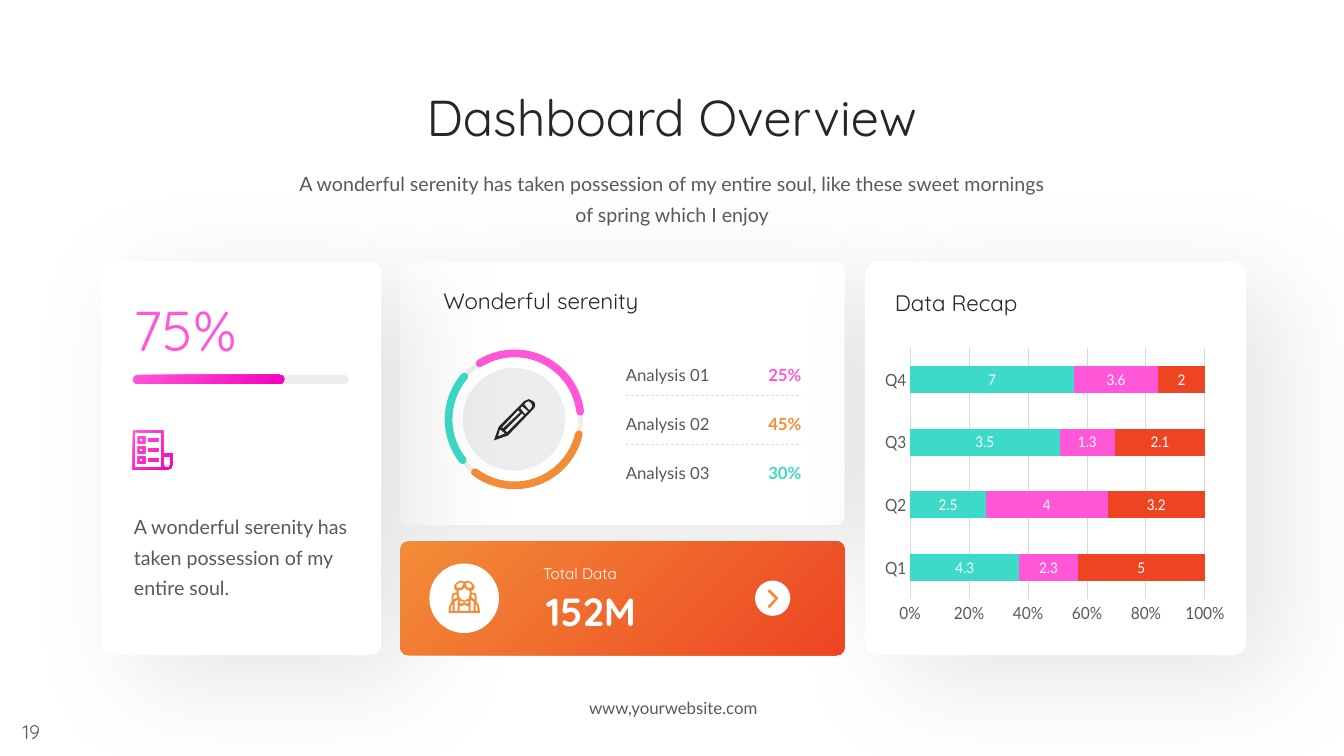
from lxml import etree
from pptx import Presentation
from pptx.chart.data import CategoryChartData
from pptx.dml.color import RGBColor
from pptx.enum.chart import XL_CHART_TYPE, XL_TICK_MARK
from pptx.enum.dml import MSO_LINE
from pptx.enum.shapes import MSO_CONNECTOR, MSO_SHAPE
from pptx.enum.text import MSO_AUTO_SIZE, PP_ALIGN
from pptx.oxml.ns import qn
from pptx.util import Pt

ROUND, OVAL, ARC = MSO_SHAPE.ROUNDED_RECTANGLE, MSO_SHAPE.OVAL, MSO_SHAPE.ARC
STRAIGHT, DASH = MSO_CONNECTOR.STRAIGHT, MSO_LINE.DASH
CENTER, RIGHT = PP_ALIGN.CENTER, PP_ALIGN.RIGHT
GROW, NO_TICK = MSO_AUTO_SIZE.SHAPE_TO_FIT_TEXT, XL_TICK_MARK.NONE
STACKED = XL_CHART_TYPE.BAR_STACKED_100

INK = {"white": "FFFFFF", "black": "000000", "dark": "262626", "body": "595959",
       "gray": "A6A6A6", "grid": "D9D9D9", "pink": "FF57D7", "rose": "F500BD",
       "orange": "F38C37", "red": "ED4523", "teal": "3EDAC8"}
HEAD, BODY = "Quicksand", "Lato"
AIRY = {"line_spacing": 1.3, "space_after": Pt(6)}
LOW = {"line_spacing": 1.3, "space_before": Pt(12)}
MID = {"alignment": CENTER}


def shade(name):
    return RGBColor.from_string(INK[name])


def apply(item, values):
    for key, value in values.items():
        setattr(item, key, value)


def fade(node, percent):
    for hue in node.iter(qn("a:srgbClr")):
        etree.SubElement(hue, qn("a:alpha"), val=str(percent * 1000))


def rect(x, y, w, h):
    return f"{x},{y} {x + w},{y} {x + w},{y + h} {x},{y + h}"


# Icon outlines, in units of 0.72 pt
PENCIL = ["41,6 40.5,3.8 39,2 34.5,0 30,2 5,27 0,41 14,36 39,10 40.5,8",
          "11,31 28,14 30,16 13,33", "8,28 24,11 26,13 9,29",
          "26,9 28,7 34,12 31,15", "6,30 11,34 4,37",
          "37,9 35,11 30,5 32,3 34.5,2 37,4 38,6.5"]
LIST = ["0,0 30,0 30,23 39,23 39,34 38,37.5 34,39 0,39",
        "2,2 2,37 29,37 28,34 28,2",
        "30,26 30,34 31.5,36.5 34,37 36.5,36.5 37,34 37,26"]
for top in (6, 16, 26):
    LIST += [rect(5, top, 7, 7), rect(7, top + 2, 3, 3), rect(15, top + 2, 10, 3)]
NEXT = ["0,1 1,0 2,0 10,8 10,9 2,18 1,18 0,17 0,16 7,9 0,2"]
PERSON = ["28,21 28,15 27,13 25,12 23,12 23,10 25,9 26,5.5 23,2 19.5,0 16,1 12,0 "
          "8,2 5.5,5 6,9 8,10 8,12 6,12 4,13 3,15 3,21 0.8,25 0,30 0,32 31,32 "
          "31,30 30.3,25",
          "17,3 18.5,2 20,2 22.8,4 23,7 18.5,6.9", "8,7 8,4 11,2 13,2 15,3 13,6.9",
          "4,30 2,30 2.5,26 4,23", "5,15 6,14 8,14 9,17 7,17.5 5,19",
          "9,30 6,30 6,21 9,19", "20,30 11,30 11,25 13.5,25.5 16,24 18.5,25.5 20,25",
          "11,21 11,20 13.5,21 15,21 15,22 13,23 11.5,22.5",
          "18,23 16,22 16,21 18,21 20,20 20,21 19.5,22.5",
          "21,14 19.8,18 16,20 11.5,18 10,14 10,10 13.5,9.2 16,7 18.3,9.4 21,10",
          "25,30 22,30 22,19 25,21", "26,19 24,17.5 23,17 23,14 25,14 26,15",
          "27,30 27,23 28.5,26 29,30"]


class Board:
    def __init__(self, deck):
        self.slide = deck.slides.add_slide(deck.slide_layouts[6])
        self.shapes = self.slide.shapes

    def font(self, font, size, color, face=BODY, bold=False):
        apply(font, {"size": Pt(size), "name": face, "bold": bold})
        font.color.rgb = shade(color)

    def text(self, box, words, size, color, face=BODY, bold=False, form=AIRY):
        frame = self.shapes.add_textbox(*map(Pt, box)).text_frame
        apply(frame, {"word_wrap": True, "auto_size": GROW})
        para = frame.paragraphs[0]
        apply(para, form)
        run = para.add_run()
        run.text = words
        self.font(run.font, size, color, face, bold)

    def paint(self, shape, color, alpha=None):
        shape.shadow.inherit = False
        shape.line.fill.background()
        if isinstance(color, tuple):
            shape.fill.gradient()
            shape.fill.gradient_angle = 315
            for stop, name in zip(shape.fill.gradient_stops, color):
                stop.color.rgb = shade(name)
        else:
            shape.fill.solid()
            shape.fill.fore_color.rgb = shade(color)
        if alpha:
            fade(shape.element.spPr, alpha)

    def shape(self, kind, box, color, alpha=None, curve=None):
        shape = self.shapes.add_shape(kind, *map(Pt, box))
        self.paint(shape, color, alpha)
        if curve:
            shape.adjustments[0] = curve
        return shape

    def card(self, box):
        node = self.shape(ROUND, box, "white", curve=0.034).element.spPr
        glow = etree.SubElement(node.find(qn("a:effectLst")), qn("a:outerShdw"),
                                blurRad=str(Pt(80)), dist=str(Pt(30)),
                                dir=str(35 * 60000), algn="ctr", rotWithShape="0")
        etree.SubElement(glow, qn("a:srgbClr"), val=INK["black"])
        fade(glow, 10)

    def ring(self, kind, box, color, width, alpha=None, span=()):
        shape = self.shapes.add_shape(kind, *map(Pt, box))
        shape.shadow.inherit = False
        shape.fill.background()
        shape.line.color.rgb = shade(color)
        shape.line.width = Pt(width)
        for spot, angle in enumerate(span):
            shape.adjustments[spot] = angle * 0.6
        if alpha:
            fade(shape.element.spPr, alpha)
        else:
            shape.element.spPr.find(qn("a:ln")).set("cap", "rnd")

    def rule(self, left, right, y):
        line = self.shapes.add_connector(STRAIGHT, Pt(left), Pt(y), Pt(right), Pt(y))
        line.line.color.rgb = shade("gray")
        apply(line.line, {"width": Pt(0.5), "dash_style": DASH})
        fade(line.element.spPr, 50)
        etree.SubElement(line.element.spPr, qn("a:effectLst"))

    def icon(self, left, top, paths, color):
        pen = None
        for path in paths:
            dots = [tuple(float(n) * 10 for n in dot.split(",")) for dot in path.split()]
            if pen is None:
                pen = self.shapes.build_freeform(*dots[0], scale=Pt(0.072))
            else:
                pen.move_to(*dots[0])
            pen.add_line_segments(dots[1:], close=True)
        self.paint(pen.convert_to_shape(Pt(left), Pt(top)), color)

    def chart(self, box, names, series, plot):
        data = CategoryChartData()
        data.categories = names
        for spot, (values, _) in enumerate(series, 1):
            data.add_series(f"Series {spot}", values)
        chart = self.shapes.add_chart(STACKED, *map(Pt, box), data).chart
        apply(chart, {"has_legend": False, "has_title": False})
        self.font(chart.font, 10, "black")
        bars = chart.plots[0]
        apply(bars, {"gap_width": 131, "overlap": 100, "vary_by_categories": False})
        for item, (_, color) in zip(bars.series, series):
            item.format.fill.solid()
            item.format.fill.fore_color.rgb = shade(color)
            item.data_labels.show_value = True
            self.font(item.data_labels.font, 10.5, "white")
        rows, scale = chart.category_axis, chart.value_axis
        for axis in (rows, scale):
            apply(axis, {"major_tick_mark": NO_TICK, "minor_tick_mark": NO_TICK})
            self.font(axis.tick_labels.font, 12, "body")
        apply(scale, {"has_major_gridlines": True, "major_unit": 0.2,
                      "minimum_scale": 0, "maximum_scale": 1})
        apply(scale.tick_labels, {"number_format": "0%", "number_format_is_linked": False})
        scale.format.line.fill.background()
        for line in (rows.format.line, scale.major_gridlines.format.line):
            line.color.rgb = shade("grid")
            line.width = Pt(0.75)
        # Fixed inner plot area
        area = chart.element.find(".//" + qn("c:plotArea"))
        for old in area.findall(qn("c:layout")):
            area.remove(old)
        frame = etree.Element(qn("c:layout"))
        area.insert(0, frame)
        manual = etree.SubElement(frame, qn("c:manualLayout"))
        pairs = [("layoutTarget", "inner"), ("xMode", "edge"), ("yMode", "edge")]
        for tag, value in pairs + list(zip("xywh", plot)):
            etree.SubElement(manual, qn("c:" + tag), val=str(value))


def main():
    deck = Presentation()
    apply(deck, {"slide_width": Pt(960), "slide_height": Pt(540)})
    board = Board(deck)
    blush, flame = ("pink", "rose"), ("orange", "red")
    board.text((0, 510.5, 44.6, 24.5), "19", 14, "body", HEAD, form=MID)

    # Analysis card
    board.card((285.8, 187.2, 317.5, 188))
    board.text((309.6, 195.8, 270, 30.2), "Wonderful serenity", 16, "dark", HEAD)
    dial = (320.4, 252.4, 94.3, 94.3)
    board.ring(OVAL, dial, "gray", 3.5, alpha=20)
    for color, span in (("pink", (238.1 - 360, 353.4 - 360)),
                        ("orange", (13.1, 126.9)), ("teal", (141.7, 220.5))):
        board.ring(ARC, dial, color, 5.5, span=[angle % 360 for angle in span])
    parts = [("25%", "pink"), ("45%", "orange"), ("30%", "teal")]
    for row, (share, color) in enumerate(parts):
        y = 252.7 + 35 * row
        board.text((439.9, y, 94.3, 24.5), f"Analysis {row + 1:02}", 12, "body")
        board.text((539.3, y, 40.3, 24.5), share, 12, color, bold=True,
                   form={**AIRY, "alignment": RIGHT})
        if row:
            board.rule(447.1, 572.4, y - 5.4)
    board.shape(OVAL, (330.5, 262.8, 73.4, 73.4), "gray", alpha=20)
    board.icon(352.8, 285.1, PENCIL, "dark")

    # Title and footer
    board.text((246.2, 57.6, 467.3, 51.1), "Dashboard Overview", 36, "dark", HEAD, form=MID)
    board.text((203, 114.5, 554.4, 47.5),
               "A wonderful serenity has taken possession of my entire soul, "
               "like these sweet mornings of spring which I enjoy",
               14, "body", form={**AIRY, **MID})
    board.text((393.1, 494.6, 175.7, 21.6), "www,yourwebsite.com", 12, "body", form=MID)

    # Data card
    board.card((617.8, 187.2, 272.2, 280.8))
    board.chart((632.2, 240.5, 242.6, 208.8), ["Q1", "Q2", "Q3", "Q4"],
                [((4.3, 2.5, 3.5, 7), "teal"), ((2.3, 4, 1.3, 3.6), "pink"),
                 ((5, 3.2, 2.1, 2), "red")], (0.057, 0.039, 0.943, 0.859))
    board.text((632.2, 197.3, 232.6, 35.3), "Data Recap", 16, "dark", HEAD)

    # Progress card
    board.card((72, 187.2, 200.2, 280.8))
    board.icon(95, 307.4, LIST, blush)
    board.text((88.6, 359.3, 167, 85.7),
               "A wonderful serenity has taken possession of my entire soul.", 14, "body")
    board.shape(ROUND, (95, 267.8, 154.1, 6.5), "gray", alpha=20, curve=0.5)
    board.shape(ROUND, (95, 267.8, 108, 6.5), blush, curve=0.5)
    board.text((88.6, 193, 167, 66.2), "75%", 40, "pink", HEAD)

    # Total banner
    board.shape(ROUND, (285.8, 386.6, 317.5, 81.4), flame, curve=0.072)
    board.text((380.9, 395.3, 118, 23), "Total Data", 11, "white", HEAD, form=LOW)
    board.shape(OVAL, (539.3, 414.7, 25.2, 25.2), "white")
    board.icon(548.6, 421.2, NEXT, "orange")
    board.text((383, 406.1, 89.3, 46.8), "152M", 28, "white", HEAD, bold=True, form=LOW)
    board.shape(OVAL, (306.7, 402.5, 49.7, 49.7), "white")
    board.icon(320.4, 414.7, PERSON, "orange")

    deck.save("out.pptx")


if __name__ == "__main__":
    main()
